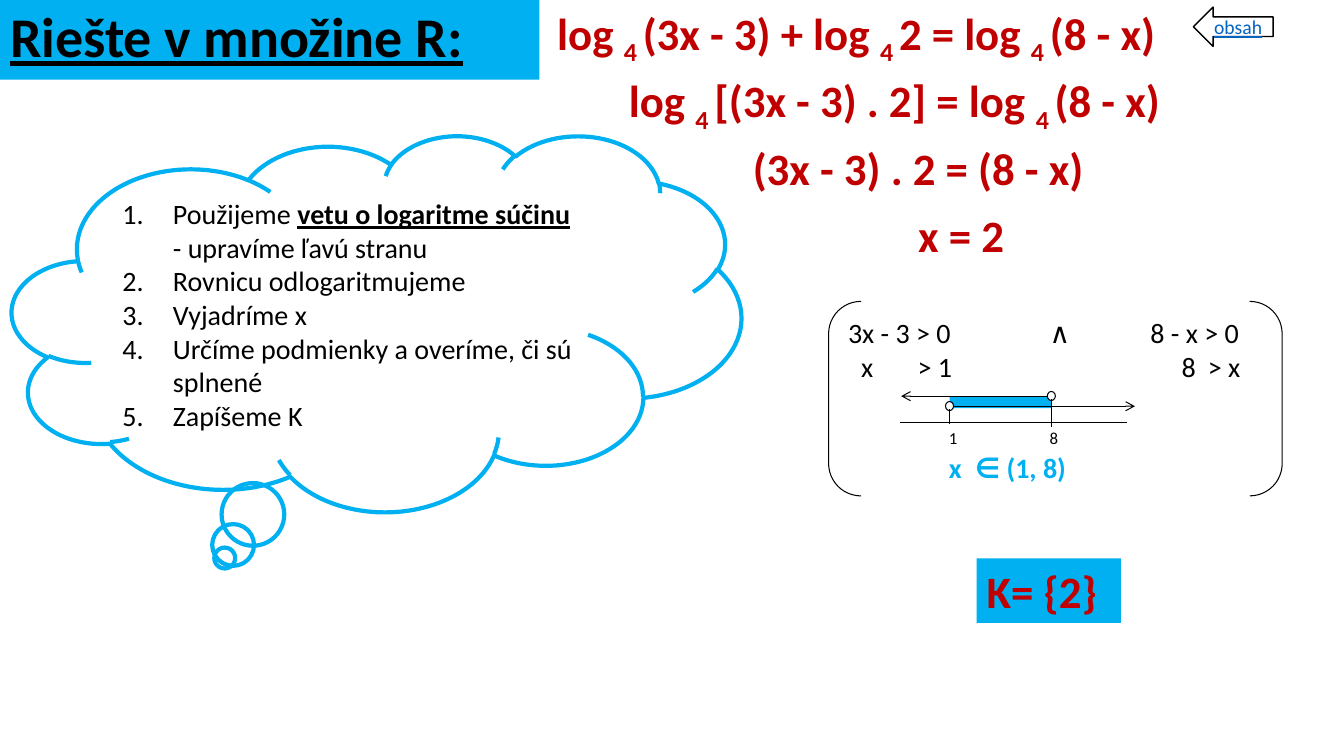
from lxml import etree
from pptx import Presentation
from pptx.dml.color import RGBColor
from pptx.enum.shapes import MSO_CONNECTOR, MSO_SHAPE
from pptx.enum.text import MSO_ANCHOR, PP_ALIGN
from pptx.oxml.ns import qn
from pptx.util import Inches, Pt

SKY = RGBColor(0x00, 0xB0, 0xF0)
RED = RGBColor(0xC0, 0x00, 0x00)
BLACK = RGBColor(0x00, 0x00, 0x00)
WHITE = RGBColor(0xFF, 0xFF, 0xFF)
LINK_BLUE = RGBColor(0x05, 0x63, 0xC1)
STRAIGHT = MSO_CONNECTOR.STRAIGHT
LEFT, CENTER = PP_ALIGN.LEFT, PP_ALIGN.CENTER
TOP, MIDDLE = MSO_ANCHOR.TOP, MSO_ANCHOR.MIDDLE
RECTANGLE, OVAL = MSO_SHAPE.RECTANGLE, MSO_SHAPE.OVAL
CLOUD, BRACKETS = MSO_SHAPE.CLOUD_CALLOUT, MSO_SHAPE.DOUBLE_BRACKET
ARROW = MSO_SHAPE.LEFT_ARROW
FONT = "Calibri"
COLUMNS, ROWS = 40, 22.5


class LessonSlide:
    """Draws on one slide, measured on a grid of 40 columns by 22.5 rows."""

    def __init__(self, deck):
        self.width, self.height = deck.slide_width, deck.slide_height
        self.slide = deck.slides.add_slide(deck.slide_layouts[5])
        self.canvas = self.slide.shapes

    def start_group(self):
        self.canvas = self.slide.shapes.add_group_shape().shapes

    def end_group(self):
        self.canvas = self.slide.shapes

    def grid(self, *lengths):
        steps = (self.width / COLUMNS, self.height / ROWS)
        return [round(length * steps[i % 2]) for i, length in enumerate(lengths)]

    def style(self, run, size, color, bold=False, underline=False, baseline=None):
        font = run.font
        font.name, font.size, font.bold, font.underline = FONT, Pt(size), bold, underline
        font.color.rgb = color
        if baseline:
            run._r.get_or_add_rPr().set("baseline", str(baseline))

    def add_text(self, paragraph, text, size, color, bold=False, underline=False,
                 accent=None, align=LEFT):
        paragraph.alignment = align
        for i, piece in enumerate(text.split("|")):
            run = paragraph.add_run()
            run.text = piece
            look = {"bold": bold, "underline": underline}
            if i % 2:
                look.update(accent)
            self.style(run, size, color, **look)

    def title(self, text, box):
        heading = self.slide.shapes.title
        heading.left, heading.top, heading.width, heading.height = self.grid(*box)
        heading.fill.solid()
        heading.fill.fore_color.rgb = SKY
        frame = heading.text_frame
        frame.vertical_anchor = MIDDLE
        frame.paragraphs[0].line_spacing = 0.9
        self.add_text(frame.paragraphs[0], text, 40, BLACK, True, True)

    def formula(self, text, box, fill=None):
        label = self.canvas.add_textbox(*self.grid(*box))
        if fill:
            label.fill.solid()
            label.fill.fore_color.rgb = fill
        label.text_frame.word_wrap = False
        self.add_text(label.text_frame.paragraphs[0], text, 32, RED, True,
                      accent={"baseline": -25000})

    def shape(self, kind, box, fill=None, line=None, weight=0.75, anchor=MIDDLE):
        figure = self.canvas.add_shape(kind, *self.grid(*box))
        figure.shadow.inherit = False
        if fill:
            figure.fill.solid()
            figure.fill.fore_color.rgb = fill
        else:
            figure.fill.background()
        if line:
            figure.line.color.rgb = line
            figure.line.width = Pt(weight)
        else:
            figure.line.fill.background()
        figure.text_frame.vertical_anchor = anchor
        return figure

    def paragraphs(self, frame, count):
        return [frame.paragraphs[0]] + [frame.add_paragraph() for _ in range(count - 1)]

    def steps(self, figure, lines):
        for paragraph, text in zip(self.paragraphs(figure.text_frame, len(lines)), lines):
            properties = paragraph._p.get_or_add_pPr()
            properties.set("marL", str(Inches(0.5)))
            properties.set("indent", str(-Inches(0.5)))
            etree.SubElement(properties, qn("a:buFont"), typeface="+mj-lt")
            etree.SubElement(properties, qn("a:buAutoNum"), type="arabicPeriod")
            self.add_text(paragraph, text, 20, BLACK,
                          accent={"bold": True, "underline": True})

    def tabbed(self, figure, lines):
        rows = self.paragraphs(figure.text_frame, len(lines))
        for paragraph, (text, stops, size, color, bold, before) in zip(rows, lines):
            tabs = etree.SubElement(paragraph._p.get_or_add_pPr(), qn("a:tabLst"))
            for stop in stops:
                etree.SubElement(tabs, qn("a:tab"), pos=str(Inches(stop)), algn="l")
            if before:
                paragraph.space_before = Pt(before)
            self.add_text(paragraph, text, size, color, bold)

    def line(self, ends, arrow=False):
        stroke = self.canvas.add_connector(STRAIGHT, *self.grid(*ends))
        stroke.line.color.rgb = BLACK
        stroke.line.width = Pt(0.75)
        if arrow:
            etree.SubElement(stroke.line._get_or_add_ln(), qn("a:tailEnd"), type="arrow")
        etree.SubElement(stroke._element.spPr, qn("a:effectLst"))


EQUATIONS = [
    ("log |4 |(3x - 3) + log |4 |2 = log |4 |(8 - x)", 16.29, 19.32),
    ("log |4 |[(3x - 3) . 2] = log |4 |(8 - x)", 18.42, 17.22),
    ("(3x - 3) . 2 = (8 - x)", 22.11, 10.77),
    ("x = 2", 27.03, 3.18),
]
STEPS = [
    "Použijeme |vetu o logaritme súčinu |- upravíme ľavú stranu",
    "Rovnicu odlogaritmujeme",
    "Vyjadríme x",
    "Určíme podmienky a overíme, či sú splnené",
    "Zapíšeme K",
]
CONDITIONS = [
    ("3x - 3 > 0\t∧\t8 - x > 0", (2, 3), 20, BLACK, False, 0),
    ("\tx\t> 1\t8\t> x", (0.13, 0.69, 3.31, 3.57), 20, BLACK, False, 0),
    ("\t1\t8", (1, 2), 12, BLACK, False, 32),
    ("\tx\t∈ (1, 8)", (1, 1.26), 20, SKY, True, 2),
]
ONE, EIGHT = 28.26, 31.29
UPPER_RAY, LOWER_RAY, AXIS = 11.79, 12.09, 12.57


def main():
    deck = Presentation()
    deck.slide_width, deck.slide_height = Inches(13.33), Inches(7.5)
    lesson = LessonSlide(deck)

    lesson.title("Riešte v množine R:", (0, 0, 16.05, 2.37))
    for i, (equation, left, width) in enumerate(EQUATIONS):
        lesson.formula(equation, (left, 0.03 + 2 * i, width, 1.92))
    cloud = lesson.shape(CLOUD, (0.36, 4.02, 21.7, 11.19), line=SKY, weight=3)
    lesson.steps(cloud, STEPS)

    lesson.start_group()
    lesson.shape(RECTANGLE, (ONE, UPPER_RAY, EIGHT - ONE, 0.36), fill=SKY)
    brackets = lesson.shape(BRACKETS, (24.66, 8.97, 13.5, 5.79), line=BLACK, anchor=TOP)
    lesson.tabbed(brackets, CONDITIONS)
    lesson.line((ONE + 0.1, LOWER_RAY, 33.78, LOWER_RAY), arrow=True)
    lesson.line((EIGHT, UPPER_RAY, 26.82, UPPER_RAY), arrow=True)
    lesson.line((26.79, AXIS, 33.54, AXIS))
    for point, ray, bottom in ((ONE, LOWER_RAY, 12.63), (EIGHT, UPPER_RAY, 12.72)):
        lesson.shape(OVAL, (point - 0.12, ray - 0.14, 0.24, 0.27), fill=WHITE, line=BLACK)
        lesson.line((point, ray + 0.09, point, bottom))
    lesson.end_group()

    lesson.formula("K= {2}", (29.07, 16.62, 4.29, 1.92), fill=SKY)
    contents = lesson.shape(ARROW, (35.52, 0.21, 2.37, 1.17), WHITE, BLACK, 1)
    contents.text_frame.word_wrap = False
    lesson.add_text(contents.text_frame.paragraphs[0], "obsah", 14, LINK_BLUE,
                    underline=True, align=CENTER)
    deck.save("out.pptx")


if __name__ == "__main__":
    main()
